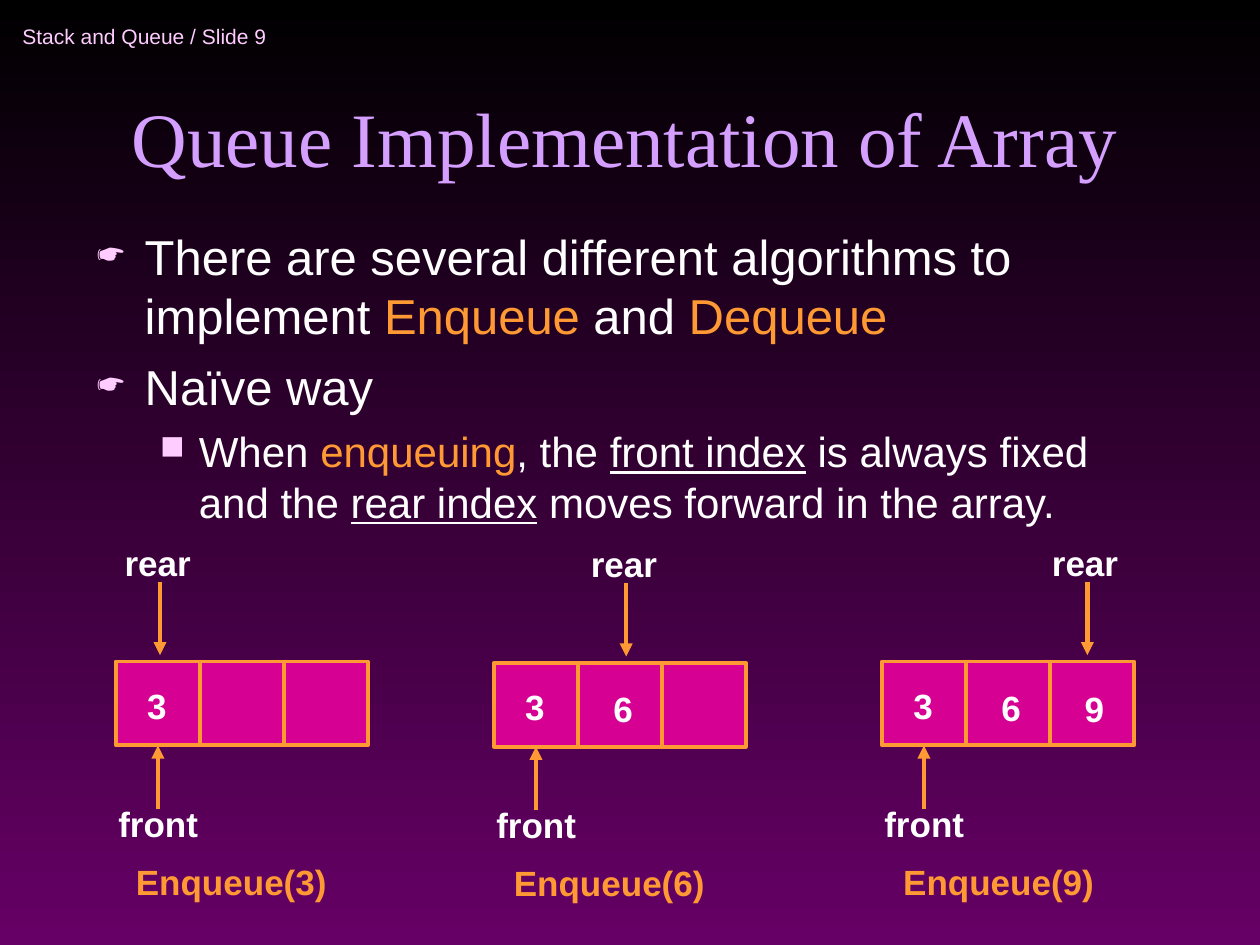
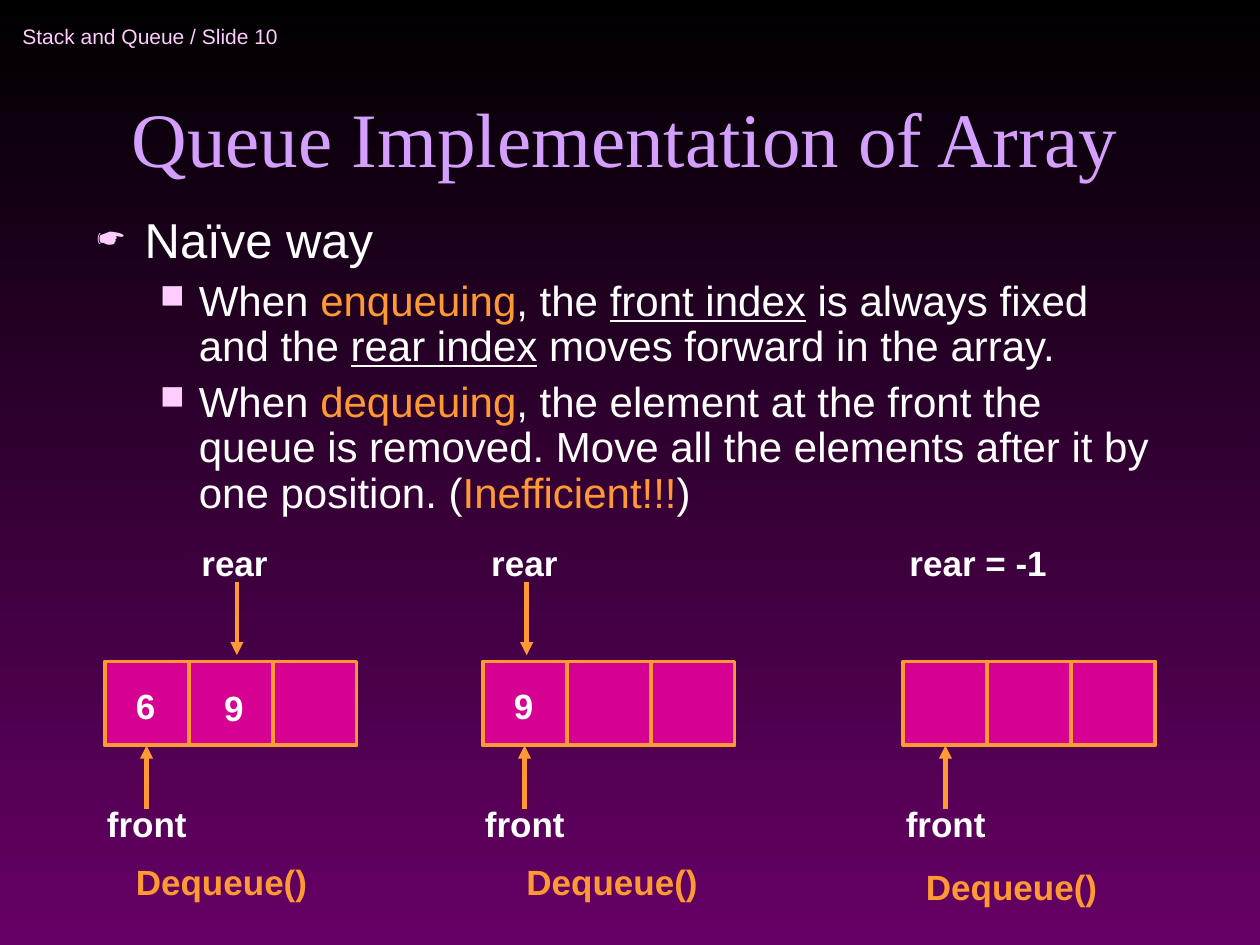
import pptx
import pptx.dml.color
import pptx.enum.dml
import pptx.enum.shapes
import pptx.enum.text
import pptx.oxml.ns
import pptx.util
from lxml import etree

Inches = pptx.util.Inches
Pt = pptx.util.Pt
ANCHOR = pptx.enum.text.MSO_ANCHOR
ALIGN = pptx.enum.text.PP_ALIGN

BLACK, PURPLE, WHITE = "000000", "660066", "FFFFFF"
LILAC, PINK, MAGENTA, ORANGE = "D49FFF", "FFCCFF", "D60093", "FF9933"
TITLE = "Queue Implementation of Array"

CELL = 2 / 3
CELL_COUNT = 3
REAR_ARROWS = [0.35, 1.05, 1.63]
VALUE_OFFSETS = [(0.15, 0.13), (0.85, 0.15), (1.51, 0.16)]
BULLETS = [
    {"mark": "☛", "percent": 75, "left": 0.38, "hang": 0.38, "size": 28, "before": 7},
    {"mark": "■", "percent": 80, "left": 0.81, "hang": 0.31, "size": 24, "before": 6},
]

NAIVE = (0, [("Naïve way", "")])
ENQUEUING = (1, [
    ("When ", ""), ("enqueuing", "accent"), (", the ", ""),
    ("front index", "underline"), (" is always fixed and the ", ""),
    ("rear index", "underline"), (" moves forward in the array.", ""),
])
ALGORITHMS = (0, [
    ("There are several different algorithms to implement ", ""),
    ("Enqueue", "accent"), (" and ", ""), ("Dequeue", "accent"),
])
DEQUEUING = (1, [
    ("When ", ""), ("dequeuing", "accent"),
    (", the element at the front the queue is removed. "
     "Move all the elements after it by one position. (", ""),
    ("Inefficient!!!", "accent"), (")", ""),
])


def rgb(value):
    return pptx.dml.color.RGBColor.from_string(value)


def style(font, size, color, name="Arial", bold=False):
    font.size = Pt(size)
    font.name = name
    font.bold = bold
    font.color.rgb = rgb(color)


def add_frame(shapes, box, anchor=ANCHOR.TOP):
    frame = shapes.add_textbox(*map(Inches, box)).text_frame
    frame.word_wrap = True
    frame.vertical_anchor = anchor
    return frame


def add_label(shapes, box, text, color=WHITE):
    frame = add_frame(shapes, box)
    frame.text = text
    style(frame.paragraphs[0].runs[0].font, 20, color, bold=True)


def add_arrow(shapes, x, start, end):
    arrow = shapes.add_connector(
        pptx.enum.shapes.MSO_CONNECTOR.STRAIGHT,
        Inches(x), Inches(start), Inches(x), Inches(end))
    arrow.line.color.rgb = rgb(ORANGE)
    arrow.line.width = Pt(2.5)
    qn = pptx.oxml.ns.qn
    etree.SubElement(arrow.line._get_or_add_ln(), qn("a:tailEnd"), type="triangle")
    etree.SubElement(arrow._element.spPr, qn("a:effectLst"))


def add_bullet(paragraph, level):
    bullet = BULLETS[level]
    qn = pptx.oxml.ns.qn
    props = paragraph._p.get_or_add_pPr()
    props.set("marL", str(Inches(bullet["left"])))
    props.set("indent", str(-Inches(bullet["hang"])))
    color = etree.SubElement(props, qn("a:buClr"))
    etree.SubElement(color, qn("a:srgbClr"), val=PINK)
    etree.SubElement(props, qn("a:buSzPct"), val=str(bullet["percent"] * 1000))
    etree.SubElement(props, qn("a:buChar"), char=bullet["mark"])


def add_heading(slide, number):
    header = add_frame(slide.shapes, (0.08, 0.08, 2.75, 0.42), ANCHOR.MIDDLE)
    header.text = f"Stack and Queue / Slide {number}"
    style(header.paragraphs[0].runs[0].font, 12, PINK)
    title = add_frame(slide.shapes, (0.67, 0.25, 8.58, 1.25), ANCHOR.BOTTOM)
    title.text = TITLE
    title.paragraphs[0].alignment = ALIGN.CENTER
    style(title.paragraphs[0].runs[0].font, 44, LILAC, "Times New Roman")


def add_body(slide, box, points, spacing):
    frame = add_frame(slide.shapes, box)
    for index, (level, pieces) in enumerate(points):
        paragraph = frame.add_paragraph() if index else frame.paragraphs[0]
        paragraph.level = level
        add_bullet(paragraph, level)
        paragraph.line_spacing = spacing
        paragraph.space_before = Pt(BULLETS[level]["before"] if index else 0)
        for text, emphasis in pieces:
            run = paragraph.add_run()
            run.text = text
            color = ORANGE if emphasis == "accent" else WHITE
            style(run.font, BULLETS[level]["size"], color)
            run.font.underline = emphasis == "underline"


def add_queue(slide, left, top, values, caption, caption_at):
    for index in range(CELL_COUNT):
        cell = slide.shapes.add_shape(
            pptx.enum.shapes.MSO_SHAPE.RECTANGLE, Inches(left + index * CELL),
            Inches(top), Inches(CELL), Inches(CELL))
        cell.shadow.inherit = False
        cell.fill.solid()
        cell.fill.fore_color.rgb = rgb(MAGENTA)
        cell.line.color.rgb = rgb(ORANGE)
        cell.line.width = Pt(2.25)

    front = slide.shapes.add_group_shape().shapes
    add_label(front, (left - 0.08, top + 1.07, 1.08, 0.44), "front")
    add_arrow(front, left + CELL / 2, top + 1.17, top + CELL)

    if values:
        rear = slide.shapes.add_group_shape().shapes
        x = left + REAR_ARROWS[len(values) - 1]
        add_label(rear, (x - 0.38, top - 1, 1.08, 0.44), "rear")
        add_arrow(rear, x, top - 0.63, top - 0.05)
    else:
        add_label(slide.shapes, (left - 0.05, top - 1, 1.3, 0.44), "rear = -1")

    for value, (dx, dy) in zip(values, VALUE_OFFSETS):
        add_label(slide.shapes, (left + dx, top + dy, 0.33, 0.44), str(value))
    dx, dy = caption_at
    add_label(slide.shapes, (left + dx, top + dy, 1.93, 0.44), caption, ORANGE)


def add_queue_slide(deck, number, body_box, points, spacing, queues):
    slide = deck.slides.add_slide(deck.slide_layouts[6])
    fill = slide.background.fill
    fill.gradient()
    fill.gradient_angle = 270
    for stop, color in zip(fill.gradient_stops, (BLACK, PURPLE)):
        stop.color.rgb = rgb(color)
    add_heading(slide, number)
    add_body(slide, body_box, points, spacing)
    for queue in queues:
        add_queue(slide, *queue)


def main():
    deck = pptx.Presentation()
    deck.slide_width, deck.slide_height = Inches(10), Inches(7.5)
    add_queue_slide(
        deck, 9, (0.67, 1.75, 8.58, 2.75), [ALGORITHMS, NAIVE, ENQUEUING], 1, [
            (0.92, 5.25, [3], "Enqueue(3)", (0.06, 1.53)),
            (3.92, 5.26, [3, 6], "Enqueue(6)", (0.06, 1.53)),
            (7, 5.25, [3, 6, 9], "Enqueue(9)", (0.07, 1.53)),
        ])
    add_queue_slide(
        deck, 10, (0.67, 1.67, 8.58, 2.5), [NAIVE, ENQUEUING, DEQUEUING], 0.9, [
            (0.83, 5.25, [6, 9], "Dequeue()", (0.15, 1.53)),
            (3.83, 5.25, [9], "Dequeue()", (0.25, 1.53)),
            (7.17, 5.25, [], "Dequeue()", (0.08, 1.57)),
        ])
    deck.save("out.pptx")


if __name__ == "__main__":
    main()
